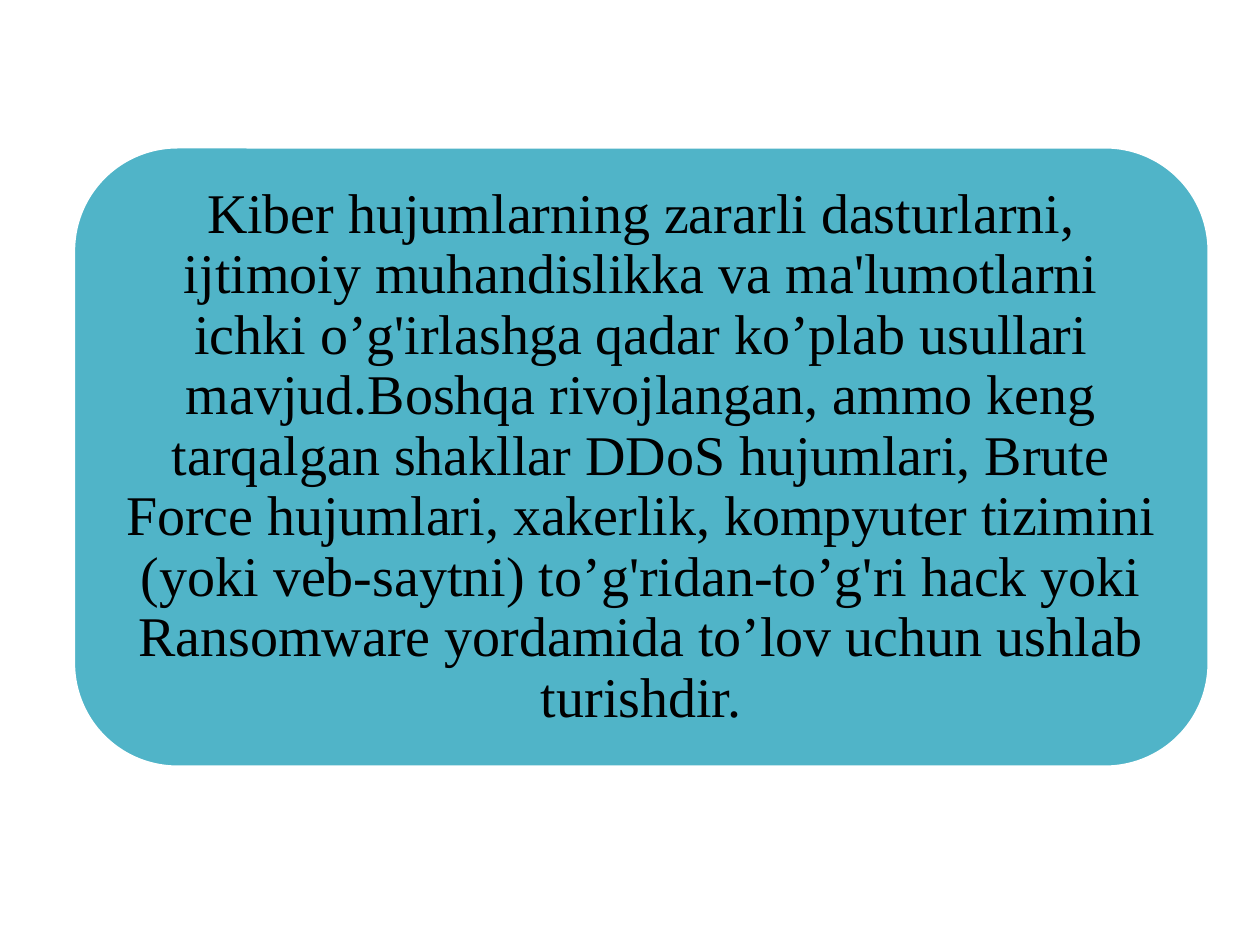
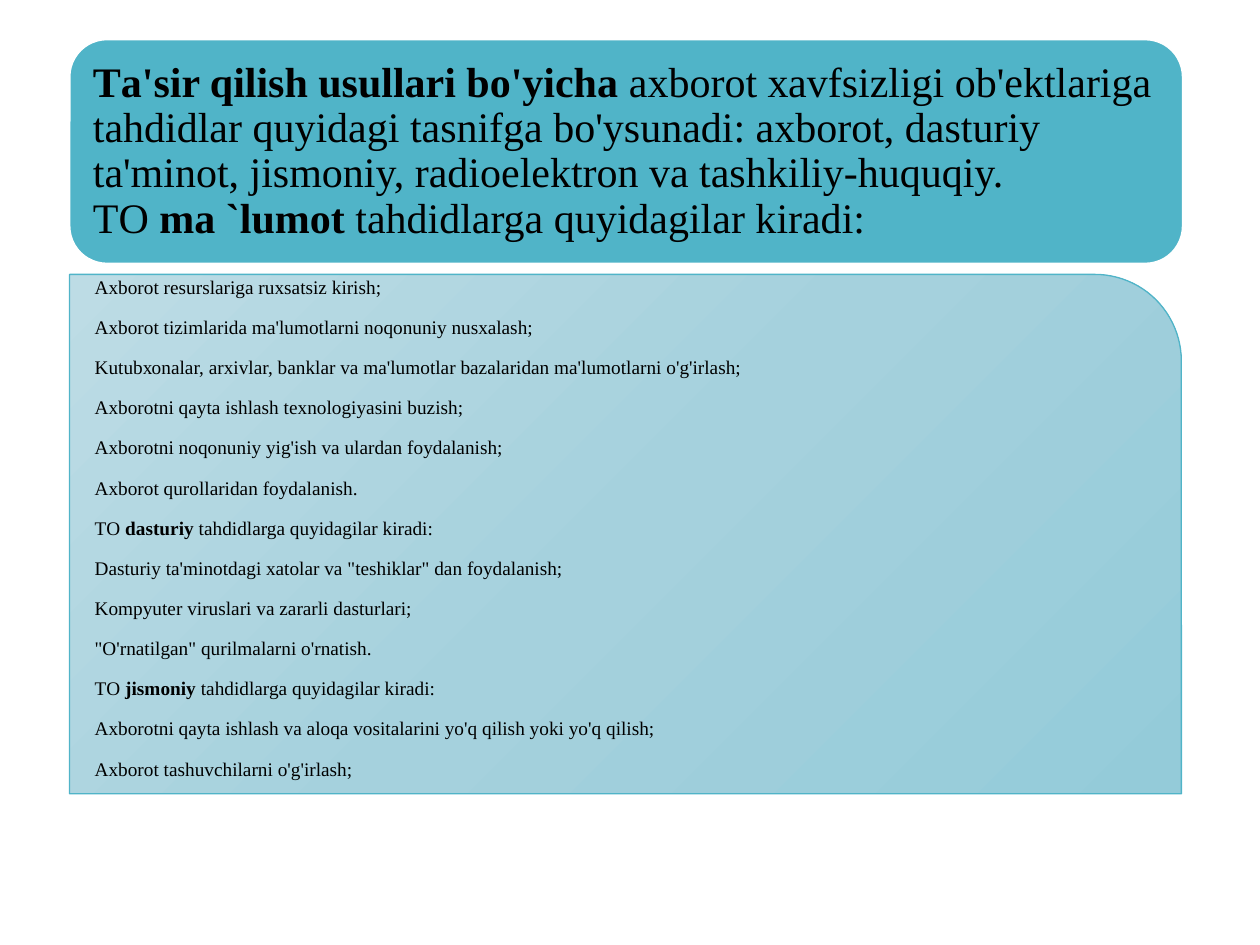
from copy import deepcopy
from dataclasses import dataclass

from pptx import Presentation
from pptx.dml.color import RGBColor
from pptx.enum.shapes import MSO_SHAPE
from pptx.enum.text import MSO_ANCHOR, PP_ALIGN
from pptx.oxml.ns import qn
from pptx.util import Pt

TEAL = RGBColor(0x50, 0xB4, 0xC8)
WHITE = RGBColor(0xFF, 0xFF, 0xFF)
BLACK = RGBColor(0x00, 0x00, 0x00)
PANEL_STOPS = [
    (0, RGBColor(0xBD, 0xDC, 0xE5)),
    (0.5, RGBColor(0xA5, 0xD1, 0xDD)),
    (1, RGBColor(0x94, 0xCB, 0xD9)),
]
FONT = "Times New Roman"
CORNER_INSET = 0.0488
CYRILLIC = str.maketrans("AOaox", "\u0410\u041e\u0430\u043e\u0445")


@dataclass
class Run:
    text: str
    bold: bool = False


@dataclass
class Box:
    left: float
    top: float
    width: float
    height: float

    def lengths(self):
        return Pt(self.left), Pt(self.top), Pt(self.width), Pt(self.height)

    def inset(self, gap: float) -> "Box":
        return Box(self.left + gap, self.top + gap,
                   self.width - 2 * gap, self.height - 2 * gap)


@dataclass
class Band:
    box: Box
    runs: list[Run]
    size: float
    margin: float
    align: PP_ALIGN


def add_runs(p, runs: list[Run], size: float) -> None:
    for run in runs:
        for i, line in enumerate(run.text.split("\n")):
            if i:
                p.add_line_break()
            r = p.add_run()
            r.text = line
            r.font.name = FONT
            r.font.size = Pt(size)
            r.font.bold = run.bold
            r.font.color.rgb = BLACK


def add_outline(s, kind: MSO_SHAPE, box: Box, color: RGBColor, width: float):
    sp = s.shapes.add_shape(kind, *box.lengths())
    sp.shadow.inherit = False
    sp.line.color.rgb = color
    sp.line.width = Pt(width)
    return sp


def set_margins(tf, side: float, edge: float) -> None:
    tf.word_wrap = True
    tf.margin_left = tf.margin_right = Pt(side)
    tf.margin_top = tf.margin_bottom = Pt(edge)


def add_band(s, band: Band) -> None:
    sp = add_outline(s, MSO_SHAPE.ROUNDED_RECTANGLE, band.box, WHITE, 1)
    sp.fill.solid()
    sp.fill.fore_color.rgb = TEAL
    inner = band.box.inset(band.box.height * CORNER_INSET)
    tf = s.shapes.add_textbox(*inner.lengths()).text_frame
    set_margins(tf, band.margin, band.margin)
    tf.vertical_anchor = MSO_ANCHOR.MIDDLE
    p = tf.paragraphs[0]
    p.alignment = band.align
    p.line_spacing = 0.9
    add_runs(p, band.runs, band.size)


def fill_gradient(sp) -> None:
    sp.fill.gradient()
    sp.fill.gradient_angle = 315
    gs_list = sp._element.spPr.find(qn("a:gradFill")).find(qn("a:gsLst"))
    gs_list.append(deepcopy(gs_list[0]))
    for stop, (position, color) in zip(sp.fill.gradient_stops, PANEL_STOPS):
        stop.position = position
        stop.color.rgb = color


def add_panel(s, box: Box, items: list[list[Run]]) -> None:
    sp = add_outline(s, MSO_SHAPE.ROUND_1_RECTANGLE, box, TEAL, 0.75)
    fill_gradient(sp)
    tf = sp.text_frame
    set_margins(tf, 7.2, 3.6)
    tf.vertical_anchor = MSO_ANCHOR.TOP
    for i, runs in enumerate(items):
        p = tf.add_paragraph() if i else tf.paragraphs[0]
        p.alignment = PP_ALIGN.LEFT
        p.line_spacing = 0.75
        p.space_before = Pt(13)
        p._p.get_or_add_pPr().set("marL", str(Pt(7.2)))
        add_runs(p, runs, 11)


def mixed(text: str, bold: bool = False) -> Run:
    return Run(text.translate(CYRILLIC), bold)


def group_heading(name: str) -> list[Run]:
    return [mixed("TO\u00a0"), mixed(name, True),
            mixed("\u00a0tahdidlarga quyidagilar kiradi:")]


ATTACKS = Band(
    Box(42.5, 84.4, 648, 353.5),
    [Run("Kiber hujumlarning zararli dasturlarni, ijtimoiy muhandislikka va "
         "ma'lumotlarni ichki \u043e’g'irlashga qadar k\u043e’plab usullari "
         "mavjud.Boshqa rivojlangan, ammo keng tarqalgan shakllar DDoS "
         "hujumlari, Brute Force hujumlari, \u0445akerlik, k\u043empyuter tizimini "
         "(yoki veb-saytni) t\u043e’g'ridan-t\u043e’g'ri hack yoki Ransomware "
         "yordamida t\u043e’lov uchun ushlab turishdir.")],
    32, 9.6, PP_ALIGN.CENTER)

THREATS = Band(
    Box(39.8, 22.6, 636, 128),
    [mixed("Ta'sir qilish usullari bo'yicha\u00a0", True),
     mixed("axborot xavfsizligi ob'ektlariga tahdidlar quyidagi tasnifga "
           "bo'ysunadi: axborot, dasturiy ta'minot, jismoniy, radioelektron "
           "va tashkiliy-huquqiy.\nTO\u00a0"),
     mixed("ma `lumot\u00a0", True),
     mixed("tahdidlarga quyidagilar kiradi:")],
    24, 7.2, PP_ALIGN.LEFT)

THREAT_ITEMS = [
    [mixed("Axborot resurslariga ruxsatsiz kirish;")],
    [mixed("Axborot tizimlarida ma'lumotlarni noqonuniy nusxalash;")],
    [mixed("Kutubxonalar, arxivlar, banklar va ma'lumotlar bazalaridan "
           "ma'lumotlarni o'g'irlash;")],
    [mixed("Axborotni qayta ishlash texnologiyasini buzish;")],
    [mixed("Axborotni noqonuniy yig'ish va ulardan foydalanish;")],
    [mixed("Axborot qurollaridan foydalanish.")],
    group_heading("dasturiy"),
    [mixed("Dasturiy ta'minotdagi xatolar va \"teshiklar\" dan foydalanish;")],
    [mixed("Kompyuter viruslari va zararli dasturlari;")],
    [mixed("\"O'rnatilgan\" qurilmalarni o'rnatish.")],
    group_heading("jismoniy"),
    [mixed("Axborotni qayta ishlash va aloqa vositalarini yo'q qilish yoki "
           "yo'q qilish;")],
    [mixed("Axborot tashuvchilarni o'g'irlash;")],
]

prs = Presentation()
prs.slide_width, prs.slide_height = Pt(720), Pt(540)
blank = prs.slide_layouts[6]

s = prs.slides.add_slide(blank)
add_band(s, ATTACKS)

s = prs.slides.add_slide(blank)
add_band(s, THREATS)
add_panel(s, Box(39.8, 156.8, 635.3, 296.8), THREAT_ITEMS)

prs.save("out.pptx")
